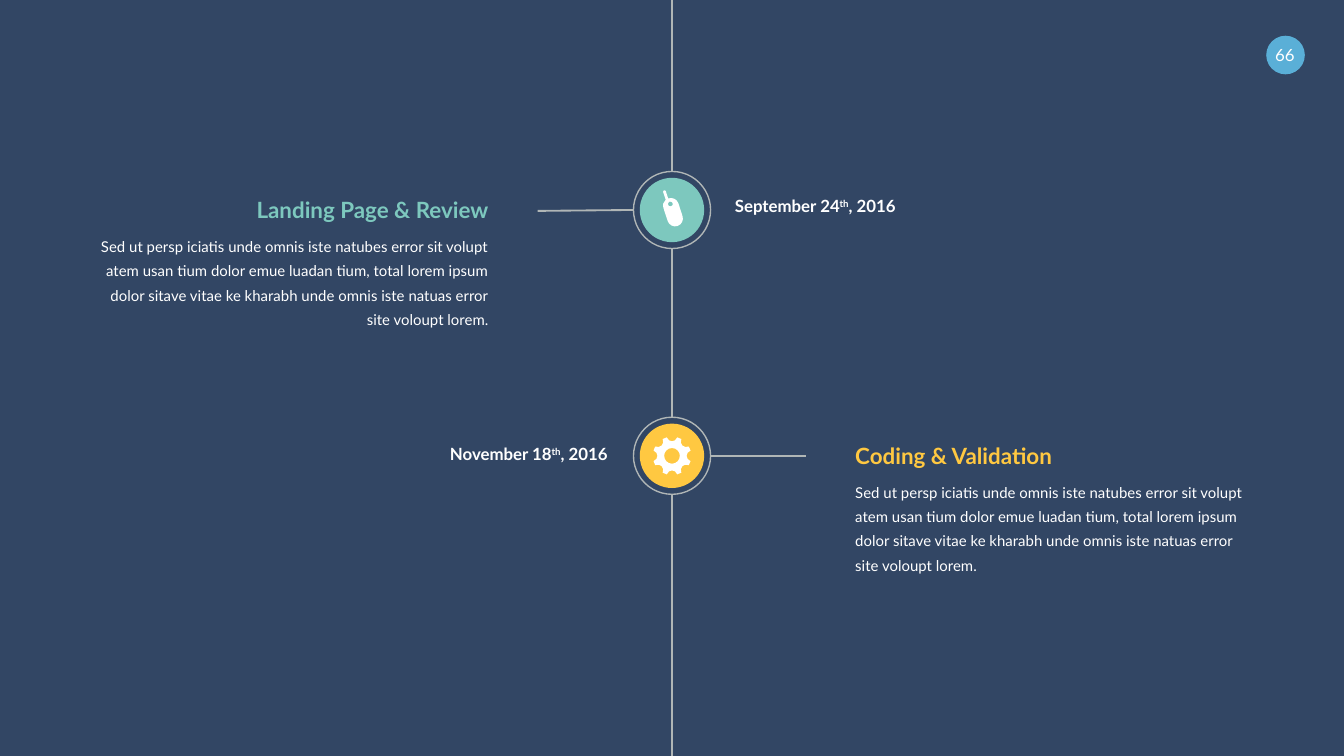
from math import cos, sin, radians
from pptx import Presentation
from pptx.dml.color import RGBColor
from pptx.enum.shapes import MSO_CONNECTOR, MSO_SHAPE
from pptx.enum.text import PP_ALIGN
from pptx.oxml.ns import qn
from pptx.util import Pt
from lxml.etree import SubElement

# Content
PAGE_NUMBER = "66"
STORY = ("Sed ut persp iciatis unde omnis iste natubes error sit volupt "
         "atem usan tium dolor emue luadan tium, total lorem ipsum dolor "
         "sitave vitae ke kharabh unde omnis iste natuas error site "
         "voloupt lorem.")
LEFT, RIGHT = -1, 1
MILESTONES = [
    dict(title="Landing Page & Review", story=STORY, side=LEFT, color="teal",
         date=("September 24", "th", ", 2016"), icon="mouse",
         center=112.5, branch_drop=0.5, date_top=105, date_gap=33.7),
    dict(title="Coding & Validation", story=STORY, side=RIGHT, color="yellow",
         date=("November 18", "th", ", 2016"), icon="gear",
         center=244.2, branch_drop=0, date_top=237.9, date_gap=34.5),
]

# Theme
THEME = dict(
    font="Lato", background="324664", white="FFFFFF", gray="B0B6B6",
    blue="5AAFD7", teal="7DC8BE", yellow="FFC841",
    title=12, label=9, body=8, line=1, ring_line=0.75,
)

# Geometry in points
WIDTH, HEIGHT = 720, 405
AXIS = WIDTH / 2
RING, DISC = 41.3, 34.5
BRANCH_END = 72
STORY_GAP, STORY_WIDTH = 98.2, 208
DATE_WIDTH = 116.5
TITLE_RISE, STORY_DROP = 7.5, 11.6


def color(name):
    return RGBColor.from_string(THEME[name])


def add_text(left, top, width, height, spans, size, ink="white",
             align=PP_ALIGN.LEFT, bold=False, spacing=None):
    """Spans are (text, is_superscript) pairs."""
    box = page.shapes.add_textbox(Pt(left), Pt(top), Pt(width), Pt(height))
    frame = box.text_frame
    frame.word_wrap = True
    frame.margin_left = frame.margin_right = 0
    frame.margin_top = frame.margin_bottom = 0
    para = frame.paragraphs[0]
    para.alignment = align
    if spacing:
        para.line_spacing = spacing
    for text, raised in spans:
        span = para.add_run()
        span.text = text
        span.font.name = THEME["font"]
        span.font.size = Pt(THEME[size])
        span.font.bold = bold
        span.font.color.rgb = color(ink)
        if raised:
            span.font._element.set("baseline", "30000")


def add_circle(shapes, x, y, diameter, fill=None):
    corner = Pt(x - diameter / 2), Pt(y - diameter / 2)
    circle = shapes.add_shape(MSO_SHAPE.OVAL, *corner, Pt(diameter), Pt(diameter))
    circle.shadow.inherit = False
    if fill:
        circle.fill.solid()
        circle.fill.fore_color.rgb = color(fill)
        circle.line.fill.background()
    else:
        circle.fill.background()
        circle.line.color.rgb = color("gray")
        circle.line.width = Pt(THEME["ring_line"])


def add_line(x1, y1, x2, y2):
    line = page.shapes.add_connector(
        MSO_CONNECTOR.STRAIGHT, Pt(x1), Pt(y1), Pt(x2), Pt(y2))
    line.line.color.rgb = color("gray")
    line.line.width = Pt(THEME["line"])
    SubElement(line._element.spPr, qn("a:effectLst"))


# Icon contours: a start point, then segments of one point (line) or three (curve)
def polar(radius, angle):
    return radius * cos(radians(angle)), radius * sin(radians(angle))


def round_hole(x, y, r):
    k = 0.55 * r
    return [[(x + r, y)],
            [(x + r, y + k), (x + k, y + r), (x, y + r)],
            [(x - k, y + r), (x - r, y + k), (x - r, y)],
            [(x - r, y - k), (x - k, y - r), (x, y - r)],
            [(x + k, y - r), (x + r, y - k), (x + r, y)]]


def gear_contours():
    rim = []
    for turn in range(0, 360, 45):
        rim.append([polar(10.3, turn - 16)])
        rim.append([polar(7.3, turn - 13), polar(7.3, turn + 13), polar(10.3, turn + 16)])
    return [rim, round_hole(0, 0, 4.2)]


def mouse_contours():
    """A capsule with a cable on top and a round button, leaning left."""
    body = [[(-4.2, -3.6)],
            [(-4.2, -5.5), (-3.2, -7), (-1.7, -7.5)],
            [(-1.7, -12)],
            [(-1.7, -12.9), (-0.2, -12.9), (-0.2, -12)],
            [(-0.2, -7.8)],
            [(2.3, -7.8), (4.2, -5.9), (4.2, -3.6)],
            [(4.2, 3.6)],
            [(4.2, 5.9), (2.3, 7.8), (0, 7.8)],
            [(-2.3, 7.8), (-4.2, 5.9), (-4.2, 3.6)]]
    tilt = radians(18)
    return [[[(0.6 + x * cos(tilt) + y * sin(tilt), 1.2 - x * sin(tilt) + y * cos(tilt))
              for x, y in segment] for segment in contour]
            for contour in (body, round_hole(0, -4.6, 1.3))]


ICONS = dict(gear=gear_contours, mouse=mouse_contours)


def add_icon(shapes, contours, x, y):
    placed = [[[(round((x + dx) * 100), round((y + dy) * 100)) for dx, dy in segment]
               for segment in contour] for contour in contours]
    builder = shapes.build_freeform(*placed[0][0][0], scale=Pt(0.01))
    for index, (start, *segments) in enumerate(placed):
        if index:
            builder.move_to(*start[0])
        builder.add_line_segments(sum(segments, []), close=True)
    icon = builder.convert_to_shape()

    # Join each three points of a curve into one Bezier segment
    lines = iter(list(icon._element.iter(qn("a:lnTo"))))
    for contour in placed:
        for segment in contour[1:]:
            first, *others = [next(lines) for _ in segment]
            if others:
                first.tag = qn("a:cubicBezTo")
                for other in others:
                    first.append(other[0])
                    other.getparent().remove(other)

    icon.shadow.inherit = False
    icon.fill.solid()
    icon.fill.fore_color.rgb = color("white")
    icon.line.fill.background()


def box_left(side, gap, width):
    return AXIS + gap if side == RIGHT else AXIS - gap - width


def alignment(side):
    return PP_ALIGN.LEFT if side == RIGHT else PP_ALIGN.RIGHT


def add_date(stage):
    side = -stage["side"]
    add_text(box_left(side, stage["date_gap"], DATE_WIDTH), stage["date_top"],
             DATE_WIDTH, 10.8, [(text, text == "th") for text in stage["date"]],
             "label", align=alignment(side), bold=True)


def add_story(stage):
    side, center = stage["side"], stage["center"]
    left = box_left(side, STORY_GAP, STORY_WIDTH)
    add_text(left, center - TITLE_RISE, STORY_WIDTH, 14.4, [(stage["title"], False)],
             "title", stage["color"], alignment(side), bold=True)
    add_text(left, center + STORY_DROP, STORY_WIDTH, 51, [(stage["story"], False)],
             "body", align=alignment(side), spacing=1.35)


def add_badge(stage):
    badge = page.shapes.add_group_shape()
    add_circle(badge.shapes, AXIS, stage["center"], DISC, stage["color"])
    add_icon(badge.shapes, ICONS[stage["icon"]](), AXIS, stage["center"])


deck = Presentation()
deck.slide_width, deck.slide_height = Pt(WIDTH), Pt(HEIGHT)
page = deck.slides.add_slide(deck.slide_layouts[6])
page.background.fill.solid()
page.background.fill.fore_color.rgb = color("background")

# Page number
add_circle(page.shapes, 688.7, 29.5, 20.7, "blue")
add_text(679, 23.8, 18.5, 10.8, [(PAGE_NUMBER, False)], "label", align=PP_ALIGN.CENTER)

# Branches, then axis pieces between the rings
for stage in MILESTONES:
    side, center = stage["side"], stage["center"]
    add_line(AXIS + side * RING / 2, center,
             AXIS + side * BRANCH_END, center + stage["branch_drop"])
starts = [0] + [stage["center"] + RING / 2 for stage in MILESTONES]
ends = [stage["center"] - RING / 2 for stage in MILESTONES] + [HEIGHT]
for start, end in zip(starts, ends):
    add_line(AXIS, start, AXIS, end)

# Texts, rings and badges
for stage in MILESTONES:
    add_date(stage)
for stage in MILESTONES:
    add_story(stage)
for stage in MILESTONES:
    add_circle(page.shapes, AXIS, stage["center"], RING)
for stage in MILESTONES:
    add_badge(stage)

deck.save("out.pptx")
